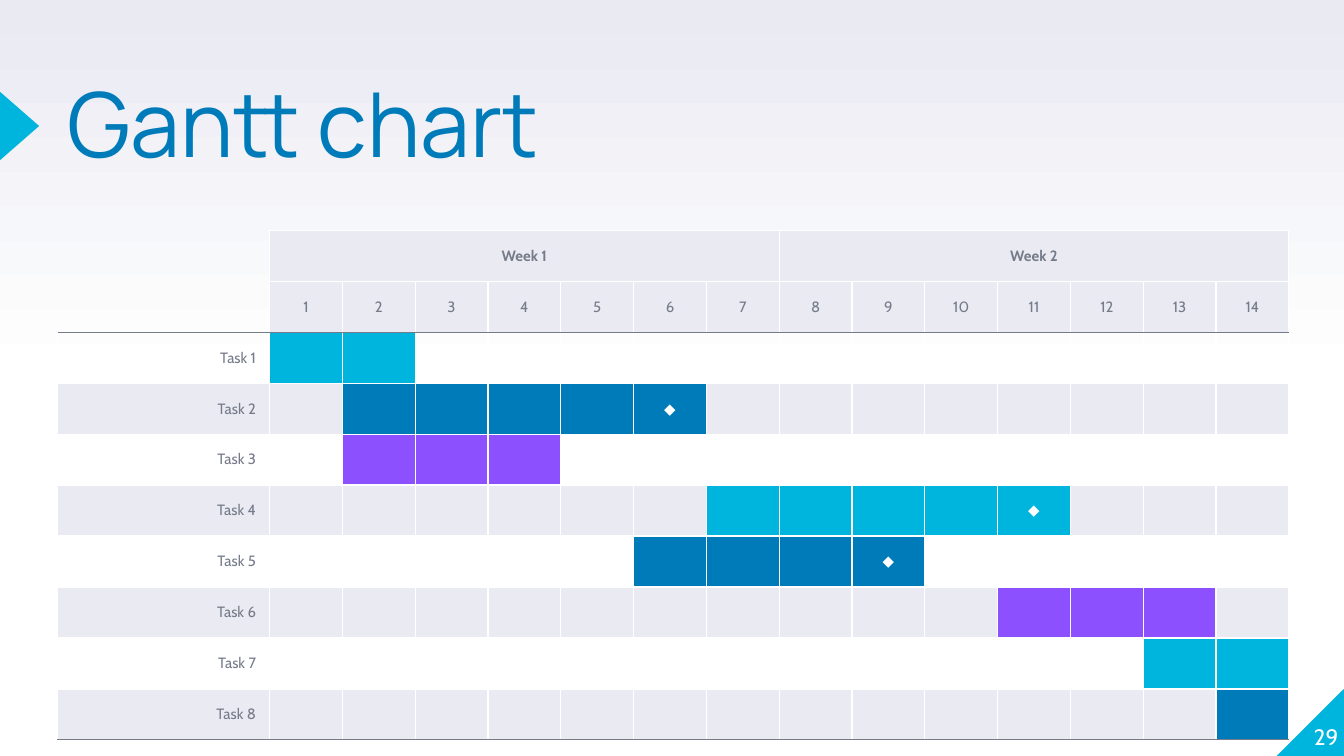
from copy import deepcopy

from lxml.etree import SubElement
from pptx import Presentation
from pptx.dml.color import RGBColor
from pptx.enum.shapes import MSO_SHAPE as Preset
from pptx.enum.text import MSO_ANCHOR as Anchor, PP_ALIGN as Align
from pptx.oxml.ns import qn
from pptx.util import Pt

WHITE, PALE, GREY = "FFFFFF", "E9EAF2", "757B89"
CYAN, BLUE, PURPLE = "00B5DD", "007BB9", "8C50FF"
DAYS, WEEK = 14, 7
LABEL_WIDTH, DAY_WIDTH, ROW_HEIGHT = 113.4, 39.03, 27.3
HEADER_ROWS = 2

# first day, last day, colour, ends with a milestone
TASKS = [
    (1, 2, CYAN, False),
    (2, 6, BLUE, True),
    (2, 4, PURPLE, False),
    (7, 11, CYAN, True),
    (6, 9, BLUE, True),
    (11, 13, PURPLE, False),
    (13, 14, CYAN, False),
    (14, 14, BLUE, False),
]


def rgb(color):
    return RGBColor.from_string(color)


class SlideBuilder:
    body_font = "Cabin"
    title_font = "Manrope"
    plain_table = "{2D5ABB26-0587-4C30-8999-92F81FD0307C}"

    def __init__(self, slide):
        self.slide = slide

    def background(self, low, high):
        """Vertical gradient: plain low colour up to the middle, then towards high."""
        fill = self.slide.background.fill
        fill.gradient()
        fill.gradient_angle = 90
        for stop, position, color in zip(fill.gradient_stops, (0.5, 1), (low, high)):
            stop.position = position
            stop.color.rgb = rgb(color)
        stops = self.slide.element.find(".//" + qn("a:gsLst"))
        base = deepcopy(stops[0])
        base.set("pos", "0")
        stops.insert(0, base)

    def shape(self, preset, left, top, width, height, color, rotation=0, flip=False):
        shape = self.slide.shapes.add_shape(preset, Pt(left), Pt(top), Pt(width), Pt(height))
        shape.shadow.inherit = False
        shape.fill.solid()
        shape.fill.fore_color.rgb = rgb(color)
        shape.line.fill.background()
        shape.rotation = rotation
        if flip:
            shape.element.spPr.find(qn("a:xfrm")).set("flipH", "1")

    def fill_text(self, frame, words, size, color, align, font=body_font, bold=False):
        frame.text = words
        para = frame.paragraphs[0]
        para.alignment = align
        for span in para.runs:
            span.font.name = font
            span.font.size = Pt(size)
            span.font.bold = bold
            span.font.color.rgb = rgb(color)
        return para

    def text(self, words, left, top, width, height, size, color, align=Align.LEFT,
             font=body_font, anchor=Anchor.TOP):
        box = self.slide.shapes.add_textbox(Pt(left), Pt(top), Pt(width), Pt(height))
        frame = box.text_frame
        frame.word_wrap = True
        frame.vertical_anchor = anchor
        frame.margin_left = frame.margin_right = Pt(0)
        frame.margin_top = frame.margin_bottom = Pt(0)
        return self.fill_text(frame, words, size, color, align, font)

    def table(self, left, top, widths, heights):
        frame = self.slide.shapes.add_table(
            len(heights), len(widths), Pt(left), Pt(top), Pt(sum(widths)), Pt(sum(heights)))
        table = frame.table
        table.first_row = table.horz_banding = False
        frame.element.find(".//" + qn("a:tableStyleId")).text = self.plain_table
        for column, width in zip(table.columns, widths):
            column.width = Pt(width)
        for row, height in zip(table.rows, heights):
            row.height = Pt(height)
        return table

    def cell(self, cell, fill, borders, words="", color=GREY, align=Align.CENTER, bold=False):
        """Fill one cell; borders maps the sides L, R, T and B to colours."""
        cell.vertical_anchor = Anchor.MIDDLE
        if words:
            self.fill_text(cell.text_frame, words, 8, color, align, bold=bold)
        else:
            cell.margin_top = cell.margin_bottom = Pt(0)
        if fill:
            cell.fill.solid()
            cell.fill.fore_color.rgb = rgb(fill)
        else:
            cell.fill.background()
        properties = cell._tc.get_or_add_tcPr()
        sides = [side for side in "LRTB" if side in borders]
        for index, side in enumerate(sides):
            line = SubElement(properties, qn("a:ln" + side), w=str(Pt(0.75)))
            solid = SubElement(line, qn("a:solidFill"))
            SubElement(solid, qn("a:srgbClr"), val=borders[side])
            properties.insert(index, line)


def add_gantt(builder):
    rows = HEADER_ROWS + len(TASKS)
    table = builder.table(31, 123.4, [LABEL_WIDTH] + [DAY_WIDTH] * DAYS, [ROW_HEIGHT] * rows)
    white = dict.fromkeys("LRTB", WHITE)

    builder.cell(table.cell(0, 0), None, {"R": WHITE})
    builder.cell(table.cell(1, 0), None, {"R": WHITE, "B": GREY})
    for day in range(1, DAYS + 1):
        week, offset = divmod(day - 1, WEEK)
        title = "" if offset else f"Week {week + 1}"
        builder.cell(table.cell(0, day), PALE, white, title, bold=True)
        builder.cell(table.cell(1, day), PALE, white | {"B": GREY}, str(day))
    for first in range(1, DAYS, WEEK):
        table.cell(0, first).merge(table.cell(0, first + WEEK - 1))

    for number, (start, end, color, milestone) in enumerate(TASKS, 1):
        row = HEADER_ROWS + number - 1
        band = None if number % 2 else PALE
        borders = dict(white)
        if number == 1:
            borders["T"] = GREY
        if number == len(TASKS):
            borders["B"] = GREY
        builder.cell(table.cell(row, 0), band, borders, f"Task {number}", align=Align.RIGHT)
        for day in range(1, DAYS + 1):
            fill = color if start <= day <= end else band
            mark = "◆" if milestone and day == end else ""
            builder.cell(table.cell(row, day), fill, borders, mark, WHITE)


def main():
    deck = Presentation()
    deck.slide_width, deck.slide_height = Pt(720), Pt(405)
    builder = SlideBuilder(deck.slides.add_slide(deck.slide_layouts[6]))

    builder.background(WHITE, PALE)
    builder.shape(Preset.RIGHT_TRIANGLE, 684, 368.3, 36.7, 36.7, CYAN, flip=True)
    builder.shape(Preset.ISOSCELES_TRIANGLE, -7.9, 57, 36.7, 21, CYAN, rotation=90)
    title = builder.text("Gantt chart", 36, 47.5, 444, 85, 48, BLUE, font=builder.title_font)
    title.line_spacing = 0.8
    builder.text("29", 681, 365, 36, 36.7, 12, WHITE, Align.RIGHT, anchor=Anchor.BOTTOM)
    add_gantt(builder)

    deck.save("out.pptx")


if __name__ == "__main__":
    main()
